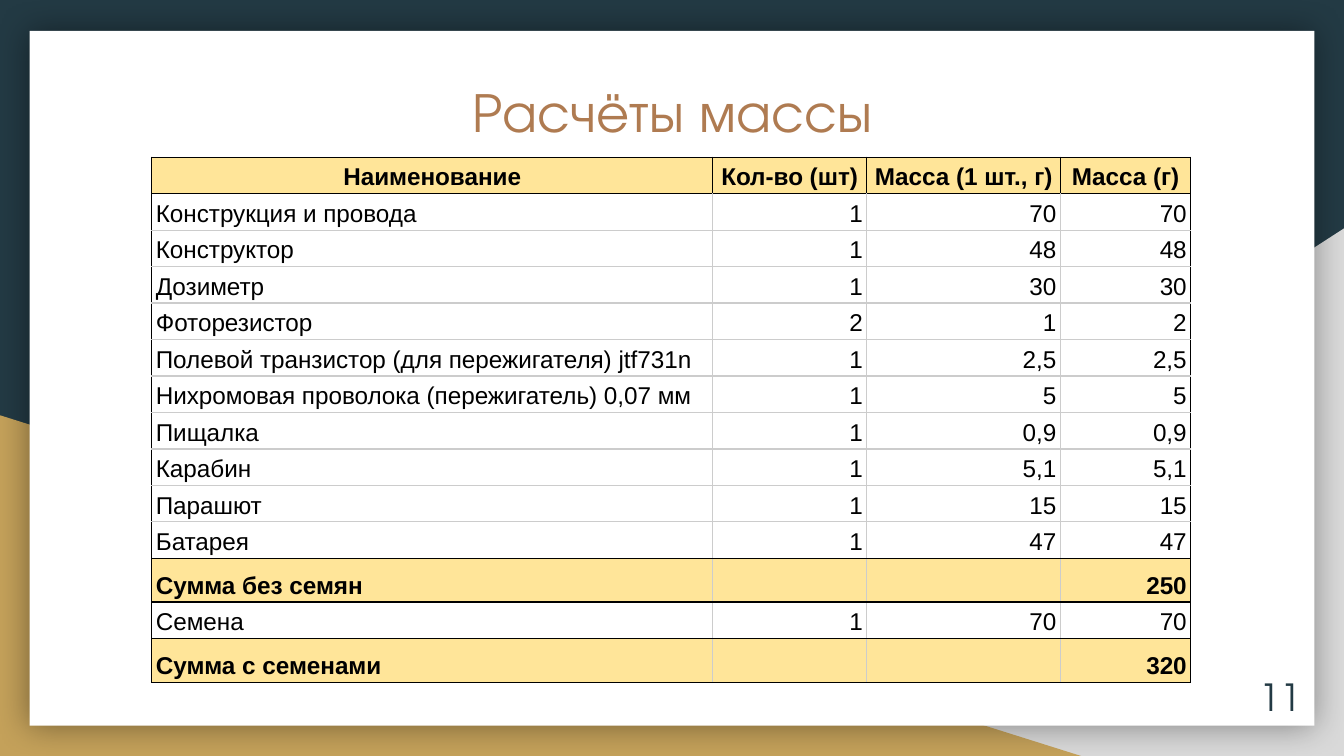
import pptx
import pptx.dml.color
import pptx.enum.shapes
import pptx.enum.text
import pptx.oxml
import pptx.oxml.ns
import pptx.util

Inches = pptx.util.Inches
ALIGN = pptx.enum.text.PP_ALIGN
ANCHOR = pptx.enum.text.MSO_ANCHOR
SHAPE = pptx.enum.shapes.MSO_SHAPE
WIDTH, HEIGHT = 10, 5.625
DISPLAY_FONT, TABLE_FONT = "TeX Gyre Adventor", "Arial"
COLORS = {
    "navy": "233A44", "gray": "D9D9D9", "gold": "C4A15A", "white": "FFFFFF",
    "copper": "AF7B51", "cream": "FFE599", "black": "000000", "grid": "CCCCCC",
}
COLUMN_WIDTHS = [4.17, 1.15, 1.44, 0.97]
ROW_HEIGHT, TOTAL_HEIGHT = 0.27, 0.32
HEADER = ["Наименование", "Кол-во (шт)", "Масса (1 шт., г)", "Масса (г)"]
PARTS = [
    ["Конструкция и провода", "1", "70", "70"],
    ["Конструктор", "1", "48", "48"],
    ["Дозиметр", "1", "30", "30"],
    ["Фоторезистор", "2", "1", "2"],
    ["Полевой транзистор (для пережигателя) jtf731n", "1", "2,5", "2,5"],
    ["Нихромовая проволока (пережигатель) 0,07 мм", "1", "5", "5"],
    ["Пищалка", "1", "0,9", "0,9"],
    ["Карабин", "1", "5,1", "5,1"],
    ["Парашют", "1", "15", "15"],
    ["Батарея", "1", "47", "47"],
]
SUMMARY = [
    ["Сумма без семян", "", "", "250"],
    ["Семена", "1", "70", "70"],
    ["Сумма с семенами", "", "", "320"],
]


def rgb(name):
    """Return the palette colour called name."""
    return pptx.dml.color.RGBColor.from_string(COLORS[name])


def write(frame, text, size, font, color, align, bold=False):
    """Put one formatted paragraph into a text frame and return it."""
    frame.text = text
    paragraph = frame.paragraphs[0]
    paragraph.alignment = align
    for run in paragraph.runs:
        run.font.size = pptx.util.Pt(size)
        run.font.name = font
        run.font.bold = bold
        run.font.color.rgb = rgb(color)
    return paragraph


def set_margins(holder, across, down):
    """Set the inner margins of a cell or text frame."""
    holder.margin_left = holder.margin_right = Inches(across)
    holder.margin_top = holder.margin_bottom = Inches(down)


def add_backdrop(slide, kind, box, color, flipped=False):
    """Add a plain filled background shape."""
    backdrop = slide.shapes.add_shape(kind, *map(Inches, box))
    backdrop.shadow.inherit = False
    backdrop.fill.solid()
    backdrop.fill.fore_color.rgb = rgb(color)
    backdrop.line.fill.background()
    if flipped:
        backdrop.element.spPr.xfrm.set("flipH", "1")
    return backdrop


def add_glow(panel):
    """Give the panel a soft shadow on all sides."""
    effects = panel.element.spPr.find(pptx.oxml.ns.qn("a:effectLst"))
    effects.append(pptx.oxml.parse_xml(
        f'<a:outerShdw {pptx.oxml.ns.nsdecls("a")} blurRad="{pptx.util.Pt(18)}" dist="0" dir="0" '
        f'algn="ctr" rotWithShape="0"><a:srgbClr val="{COLORS["black"]}">'
        '<a:alpha val="40000"/></a:srgbClr></a:outerShdw>'))


def add_title(slide, text):
    """Place the title above the backdrop and format it."""
    title = slide.shapes.title
    title.element.getparent().append(title.element)
    title.left, title.top = Inches(3.3), Inches(0.47)
    title.width, title.height = Inches(3.41), Inches(0.81)
    frame = title.text_frame
    set_margins(frame, 0.1, 0.1)
    frame.vertical_anchor = ANCHOR.TOP
    write(frame, text, 30, DISPLAY_FONT, "copper", ALIGN.CENTER)


def is_total_row(row):
    """Tell whether a table row holds a sum."""
    return row in (len(PARTS) + 1, len(PARTS) + len(SUMMARY))


def set_borders(cell, edges):
    """Draw the four cell borders in the colours of edges."""
    for position, (side, color) in enumerate(edges.items()):
        border = pptx.oxml.parse_xml(
            f'<a:ln{side} {pptx.oxml.ns.nsdecls("a")} w="{pptx.util.Pt(0.75)}"><a:solidFill>'
            f'<a:srgbClr val="{COLORS[color]}"/></a:solidFill></a:ln{side}>')
        cell._tc.get_or_add_tcPr().insert(position, border)


def format_cell(cell, text, row, column):
    """Write and style a cell according to its place in the table."""
    is_header = row == 0
    is_strong = is_header or is_total_row(row)
    first_sum = len(PARTS) + 1
    if is_strong:
        cell.fill.solid()
        cell.fill.fore_color.rgb = rgb("cream")
    else:
        cell.fill.background()
    dark = {
        "L": is_header or column == 0,
        "R": is_header or column == len(HEADER) - 1,
        "T": row <= 1 or row >= first_sum,
        "B": is_header or row >= first_sum - 1,
    }
    set_borders(cell, {side: "black" if on else "grid" for side, on in dark.items()})
    set_margins(cell, 0.03, 0.02 if text else 0.01)
    cell.vertical_anchor = ANCHOR.MIDDLE if is_header else ANCHOR.BOTTOM
    if text:
        align = ALIGN.CENTER if is_header else ALIGN.RIGHT if column else ALIGN.LEFT
        paragraph = write(cell.text_frame, text, 13, TABLE_FONT, "black", align, is_strong)
        paragraph.line_spacing = 1.15


def add_mass_table(slide):
    """Add the table of component masses."""
    rows = [HEADER, *PARTS, *SUMMARY]
    heights = [TOTAL_HEIGHT if is_total_row(row) else ROW_HEIGHT for row in range(len(rows))]
    masses = slide.shapes.add_table(
        len(rows), len(HEADER), Inches(1.13), Inches(1.17),
        Inches(sum(COLUMN_WIDTHS)), Inches(sum(heights))).table
    masses.first_row = masses.horz_banding = False
    for column, width in zip(masses.columns, COLUMN_WIDTHS):
        column.width = Inches(width)
    for row, (texts, height) in enumerate(zip(rows, heights)):
        masses.rows[row].height = Inches(height)
        for column, text in enumerate(texts):
            format_cell(masses.cell(row, column), text, row, column)


def add_page_number(slide, number):
    """Add the page number in the corner of the panel."""
    corner = slide.shapes.add_textbox(Inches(9.18), Inches(4.97), Inches(0.6), Inches(0.43))
    frame = corner.text_frame
    frame.word_wrap = True
    set_margins(frame, 0.1, 0.1)
    frame.vertical_anchor = ANCHOR.MIDDLE
    write(frame, number, 20, DISPLAY_FONT, "navy", ALIGN.RIGHT)


def main():
    """Build the mass calculation slide."""
    deck = pptx.Presentation()
    deck.slide_width, deck.slide_height = Inches(WIDTH), Inches(HEIGHT)
    slide = deck.slides.add_slide(deck.slide_layouts[5])
    slide.background.fill.solid()
    slide.background.fill.fore_color.rgb = rgb("navy")
    add_backdrop(slide, SHAPE.RIGHT_TRIANGLE, (3.92, 1.7, 6.08, 3.93), "gray", flipped=True)
    add_backdrop(slide, SHAPE.RIGHT_TRIANGLE, (0, 3.09, 8.06, 2.54), "gold")
    panel = add_backdrop(slide, SHAPE.RECTANGLE, (0.22, 0.23, 9.56, 5.17), "white")
    add_glow(panel)
    add_title(slide, "Расчёты массы")
    add_mass_table(slide)
    add_page_number(slide, "11")
    deck.save("out.pptx")


if __name__ == "__main__":
    main()
